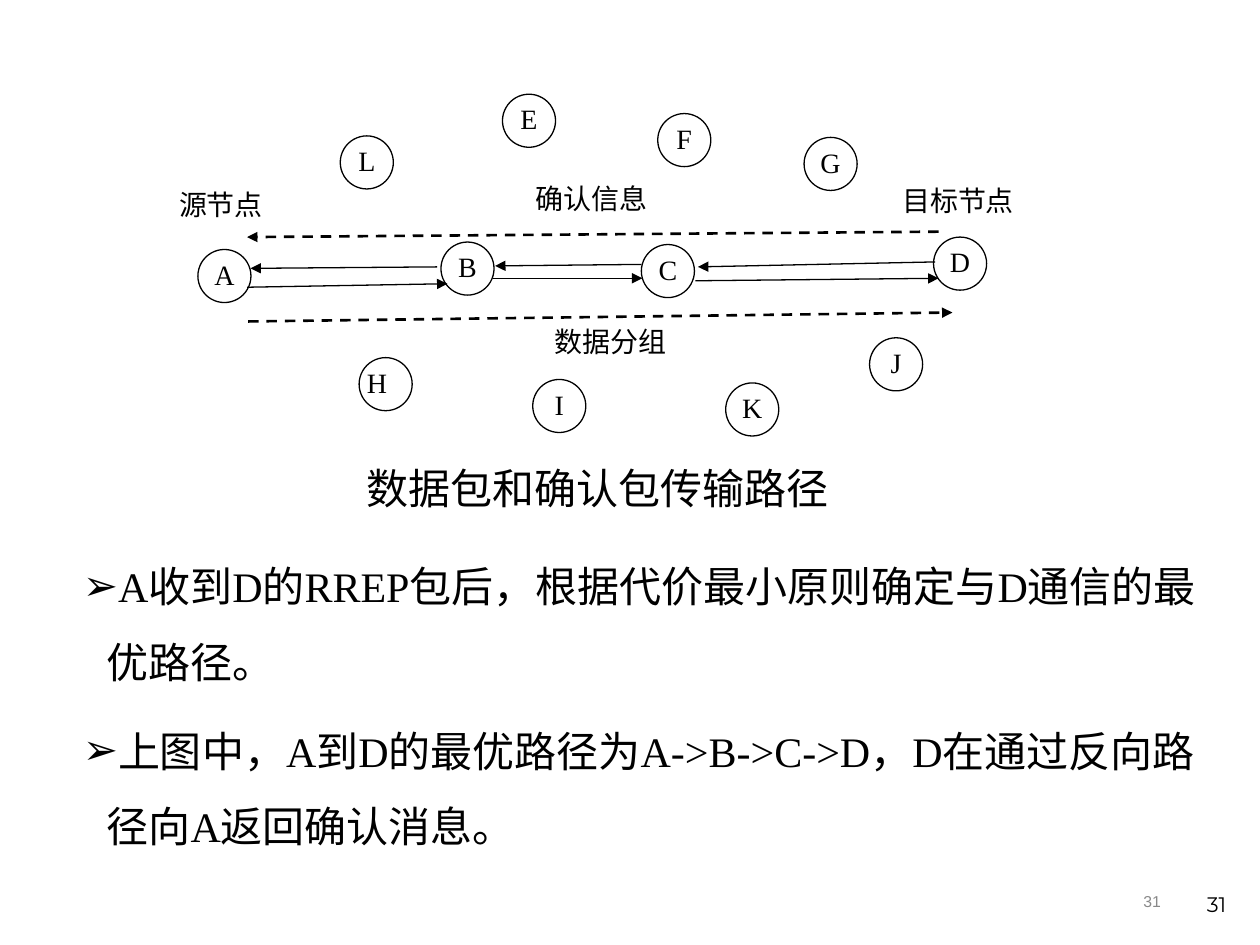
from lxml import etree
from pptx import Presentation
from pptx.dml.color import RGBColor
from pptx.enum.dml import MSO_LINE
from pptx.enum.shapes import MSO_CONNECTOR, MSO_SHAPE
from pptx.enum.text import MSO_ANCHOR, PP_ALIGN
from pptx.oxml.ns import qn
from pptx.util import Cm, Pt

ELLIPSE, STRAIGHT = MSO_SHAPE.OVAL, MSO_CONNECTOR.STRAIGHT
TOP, MIDDLE, BOTTOM = MSO_ANCHOR.TOP, MSO_ANCHOR.MIDDLE, MSO_ANCHOR.BOTTOM
LEFT, CENTER, RIGHT, JUSTIFY = PP_ALIGN.LEFT, PP_ALIGN.CENTER, PP_ALIGN.RIGHT, PP_ALIGN.JUSTIFY
SOLID, DASH = MSO_LINE.SOLID, MSO_LINE.DASH

THEME = {
    "ink": RGBColor(0, 0, 0),
    "paper": RGBColor(255, 255, 255),
    "grey": RGBColor(0x89, 0x89, 0x89),
    "serif": "Times New Roman",
    "sans": "Arial",
    "display": "Montserrat",
    "body": Pt(24),
    "label": Pt(16),
    "number": Pt(12),
    "small": Pt(9),
    "thin": Pt(0.75),
    "thick": Pt(1.5),
}


def set_frame(box, anchor, side, end):
    """Set wrapping, anchor and margins of a shape's text; return its frame."""
    frame = box.text_frame
    values = {"word_wrap": True, "vertical_anchor": anchor, "margin_left": side,
              "margin_right": side, "margin_top": end, "margin_bottom": end}
    for name, value in values.items():
        setattr(frame, name, value)
    return frame


def write(para, text, size, font, color="ink", align=LEFT):
    """Put one formatted span of text into a paragraph."""
    para.alignment = align
    span = para.add_run()
    span.text = text
    for name, value in {"size": THEME[size], "name": THEME[font]}.items():
        setattr(span.font, name, value)
    span.font.color.rgb = THEME[color]


deck = Presentation()
deck.slide_width, deck.slide_height = Cm(25.4), Cm(19.05)
page = deck.slides.add_slide(deck.slide_layouts[6])

# Page numbers
for x, y, width, height, anchor, size, font, color in [
    (17.93, 17.65, 5.72, 1.02, MIDDLE, "small", "sans", "grey"),
    (19.05, 17.35, 5.92, 1.27, BOTTOM, "number", "display", "ink"),
]:
    box = page.shapes.add_textbox(Cm(x), Cm(y), Cm(width), Cm(height))
    frame = set_frame(box, anchor, Cm(0.25), Cm(0.13))
    write(frame.paragraphs[0], "31", size, font, color, RIGHT)

# Network nodes
NODE_SIZE = Cm(1.07)
nodes = {
    "A": (3.99, 5.03), "L": (6.86, 2.74), "H": (7.24, 7.21), "B": (8.89, 4.88),
    "I": (10.74, 7.65), "C": (12.93, 4.93), "J": (17.53, 6.81), "E": (10.13, 1.9),
    "G": (16.21, 2.77), "D": (18.82, 4.78), "K": (14.63, 7.72), "F": (13.26, 2.29),
}
for name, (x, y) in nodes.items():
    node = page.shapes.add_shape(ELLIPSE, Cm(x), Cm(y), NODE_SIZE, NODE_SIZE)
    node.shadow.inherit = False
    node.fill.solid()
    node.fill.fore_color.rgb = THEME["paper"]
    node.line.color.rgb = THEME["ink"]
    node.line.width = THEME["thin"]
    frame = set_frame(node, TOP, 0, 0)
    align = JUSTIFY if name == "H" else CENTER
    write(frame.paragraphs[0], name, "label", "serif", align=align)

# Arrows: start, end, weight, dash
arrows = [
    # acknowledgement hops D -> C -> B -> A
    ((18.85, 5.28), (14.07, 5.38), "thin", SOLID),
    ((12.93, 5.33), (9.98, 5.36), "thin", SOLID),
    ((8.81, 5.38), (5.05, 5.41), "thin", SOLID),
    # data hops A -> B -> C -> D
    ((4.98, 5.79), (9.02, 5.72), "thin", SOLID),
    ((9.93, 5.61), (12.95, 5.61), "thin", SOLID),
    ((14.02, 5.66), (18.92, 5.61), "thin", SOLID),
    # whole routes
    ((18.92, 4.67), (4.98, 4.78), "thick", DASH),
    ((5, 6.48), (19.2, 6.3), "thick", DASH),
]
for start, end, weight, dash in arrows:
    arrow = page.shapes.add_connector(STRAIGHT, *map(Cm, start + end))
    arrow.line.color.rgb = THEME["ink"]
    for name, value in {"width": THEME[weight], "dash_style": dash}.items():
        setattr(arrow.line, name, value)
    properties = arrow._element.spPr
    etree.SubElement(properties.find(qn("a:ln")), qn("a:tailEnd"), type="triangle")
    etree.SubElement(properties, qn("a:effectLst"))

# Diagram labels
for text, x, y, width in [
    ("源节点", 3.61, 3.78, 2.24),
    ("目标节点", 18.19, 3.71, 2.31),
    ("确认信息", 10.8, 3.66, 2.51),
    ("数据分组", 11.18, 6.55, 2.3),
]:
    box = page.shapes.add_textbox(Cm(x), Cm(y), Cm(width), Cm(0.91))
    frame = set_frame(box, TOP, 0, 0)
    write(frame.paragraphs[0], text, "label", "serif", align=JUSTIFY)

# Caption
box = page.shapes.add_textbox(Cm(7.14), Cm(9.19), Cm(9.96), Cm(1.27))
frame = set_frame(box, MIDDLE, Cm(0.25), Cm(0.13))
write(frame.paragraphs[0], "数据包和确认包传输路径", "body", "sans")

# Explanation
box = page.shapes.add_textbox(Cm(1.42), Cm(10.67), Cm(23.06), Cm(6.83))
frame = set_frame(box, TOP, Cm(0.25), Cm(0.13))
points = [
    "A收到D的RREP包后，根据代价最小原则确定与D通信的最优路径。",
    "上图中，A到D的最优路径为A->B->C->D，D在通过反向路径向A返回确认消息。",
]
for index, text in enumerate(points):
    para = frame.add_paragraph() if index else frame.paragraphs[0]
    para.line_spacing = 1.5
    if index:
        para.space_before = Pt(7.5)
    layout = para._p.get_or_add_pPr()
    layout.set("marL", str(Cm(0.48)))
    layout.set("indent", str(-Cm(0.48)))
    etree.SubElement(layout, qn("a:buFont"), typeface=THEME["sans"])
    etree.SubElement(layout, qn("a:buChar"), char="➢")
    write(para, text, "body", "serif")

deck.save("out.pptx")
